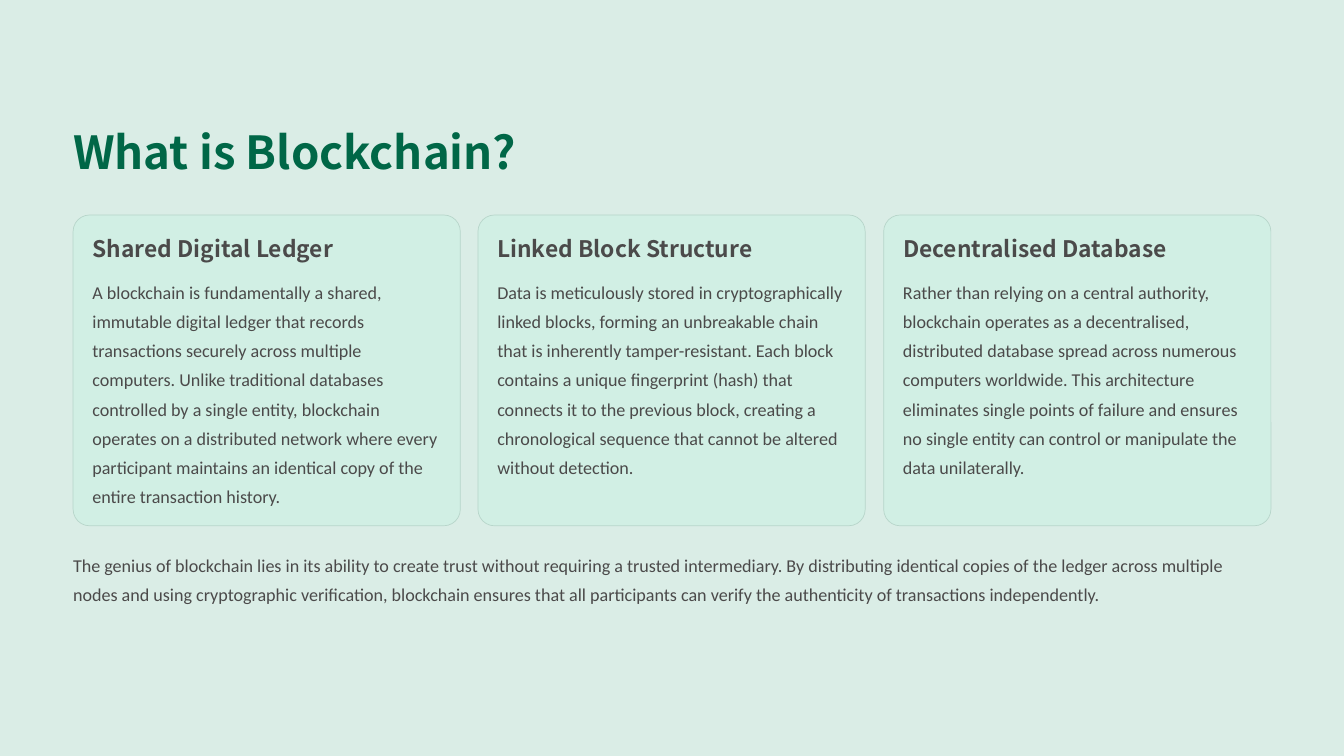
from pptx import Presentation
from pptx.dml.color import RGBColor
from pptx.enum.shapes import MSO_SHAPE as Shape
from pptx.enum.text import MSO_ANCHOR as Anchor, PP_ALIGN as Align
from pptx.util import Emu, Pt

SCALE = 9144


def px(*nums):
    return [Emu(num * SCALE) for num in nums]


def tint(code):
    return RGBColor.from_string(code)


class Deck:
    head = "Noto Sans CJK SC"
    body = "Calibri"
    back = "DAEDE6"
    green = "006747"
    ink = "4B4A4A"
    pale = "D1EFE4"
    edge = "B7D5CA"

    def __init__(self):
        self.prs = Presentation()
        self.prs.slide_width, self.prs.slide_height = px(1600, 900)
        self.slide = self.prs.slides.add_slide(self.prs.slide_layouts[6])
        fill = self.slide.background.fill
        fill.solid()
        fill.fore_color.rgb = tint(self.back)

    def text(self, box, words, size, lead, face, color, bold=False, wrap=False):
        frame = self.slide.shapes.add_textbox(*px(*box)).text_frame
        frame.margin_left = frame.margin_right = 0
        frame.margin_top = frame.margin_bottom = 0
        frame.vertical_anchor = Anchor.TOP
        frame.word_wrap = wrap
        frame.text = words
        para = frame.paragraphs[0]
        para.alignment = Align.LEFT
        para.line_spacing = Pt(lead)
        font = para.runs[0].font
        font.name, font.size, font.bold = face, Pt(size), bold
        font.color.rgb = tint(color)

    def title(self, box, words):
        self.text(box, words, 39, 48.5, self.head, self.green, bold=True)

    def label(self, box, words):
        self.text(box, words, 19.5, 24, self.head, self.ink, bold=True)

    def prose(self, box, words):
        self.text(box, words, 15.5, 25, self.body, self.ink, wrap=True)

    def panel(self, box):
        card = self.slide.shapes.add_shape(Shape.ROUNDED_RECTANGLE, *px(*box))
        card.shadow.inherit = False
        card.adjustments[0] = 0.053
        card.fill.solid()
        card.fill.fore_color.rgb = tint(self.pale)
        card.line.color.rgb = tint(self.edge)
        card.line.width = Pt(0.6)

    def card(self, left, wide, name, words):
        self.panel((left, 256, 461, 370))
        self.label((left + 23, 279, wide, 34), name)
        self.prose((left + 23, 326, 416, 278), words)


CARDS = [
    (299, "Shared Digital Ledger",
     "A blockchain is fundamentally a shared, immutable digital ledger that "
     "records transactions securely across multiple computers. Unlike "
     "traditional databases controlled by a single entity, blockchain operates "
     "on a distributed network where every participant maintains an identical "
     "copy of the entire transaction history."),
    (319, "Linked Block Structure",
     "Data is meticulously stored in cryptographically linked blocks, forming "
     "an unbreakable chain that is inherently tamper-resistant. Each block "
     "contains a unique fingerprint (hash) that connects it to the previous "
     "block, creating a chronological sequence that cannot be altered without "
     "detection."),
    (325, "Decentralised Database",
     "Rather than relying on a central authority, blockchain operates as a "
     "decentralised, distributed database spread across numerous computers "
     "worldwide. This architecture eliminates single points of failure and "
     "ensures no single entity can control or manipulate the data "
     "unilaterally."),
]
CLOSING = (
    "The genius of blockchain lies in its ability to create trust without "
    "requiring a trusted intermediary. By distributing identical copies of the "
    "ledger across multiple nodes and using cryptographic verification, "
    "blockchain ensures that all participants can verify the authenticity of "
    "transactions independently."
)


def main():
    deck = Deck()
    deck.title((87, 145, 556, 68), "What is Blockchain?")
    for i, (wide, name, words) in enumerate(CARDS):
        deck.card(87 + i * 965 // 2, wide, name, words)
    deck.prose((87, 651, 1426, 104), CLOSING)
    deck.prs.save("out.pptx")


if __name__ == "__main__":
    main()
